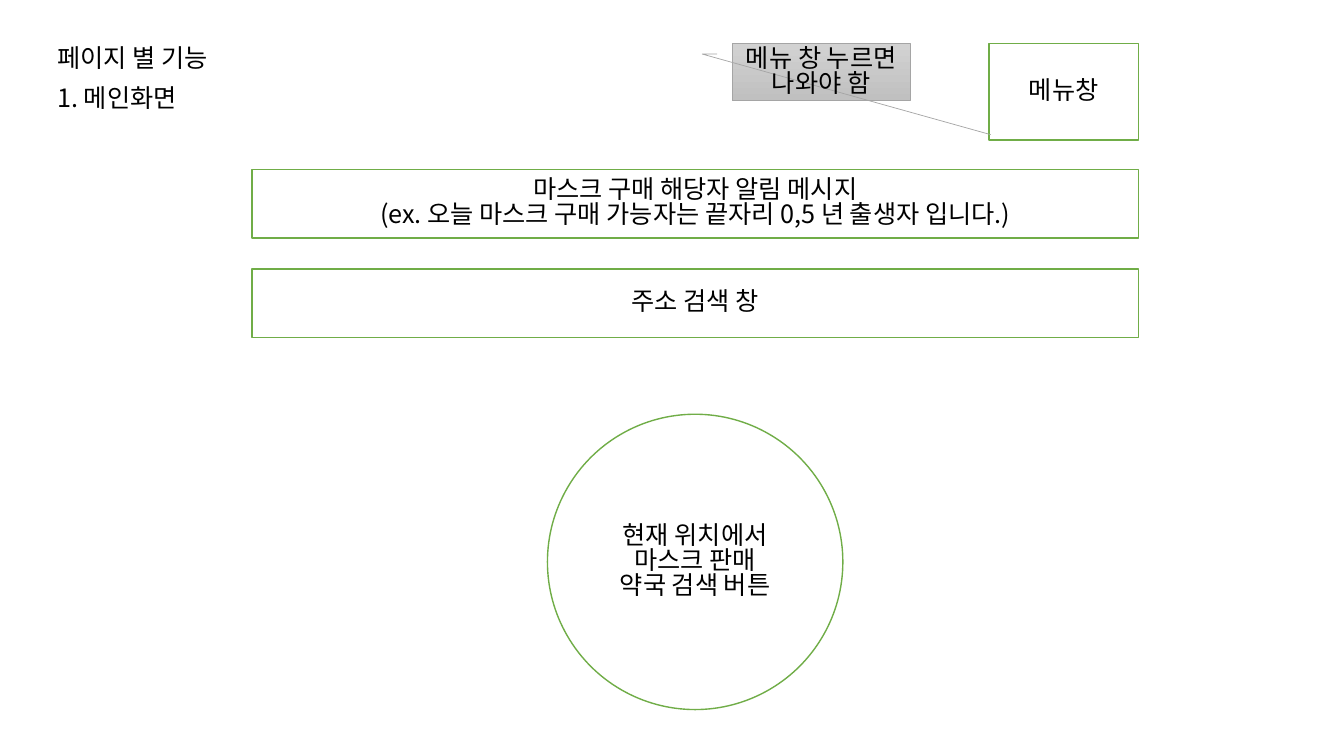
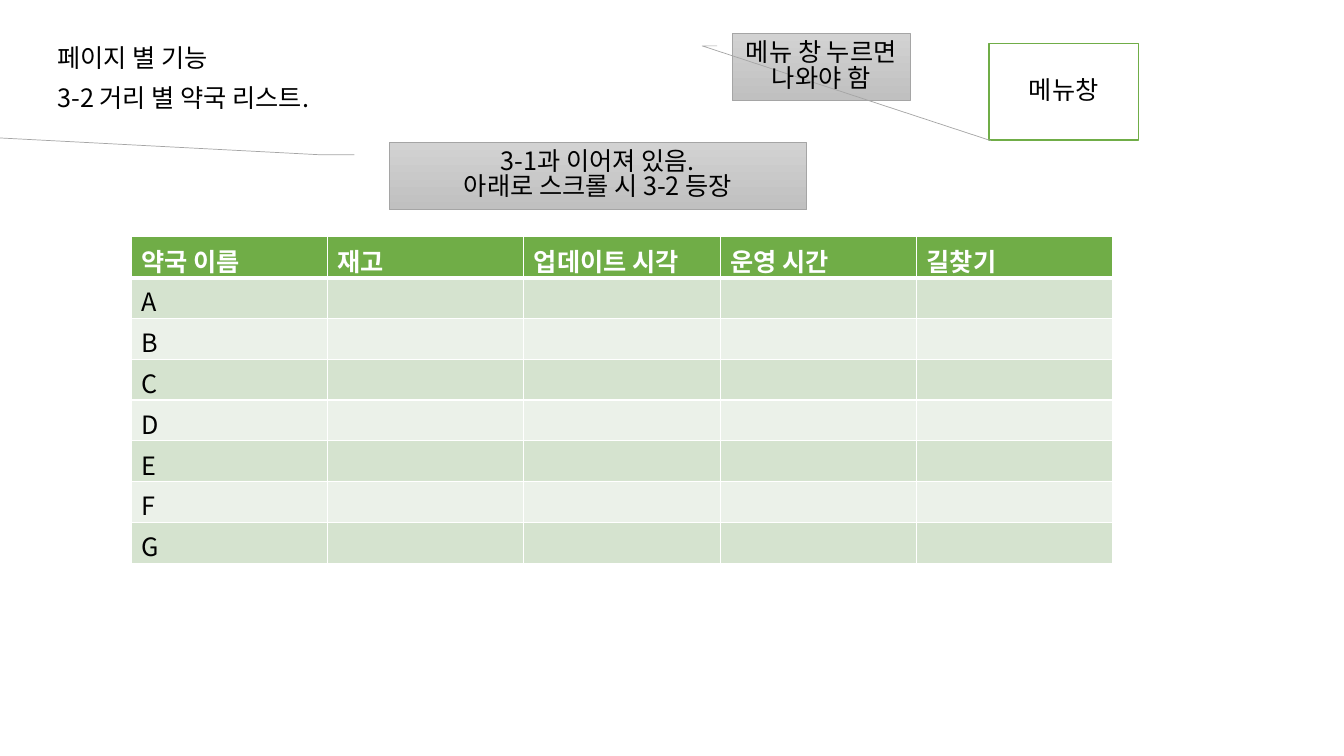
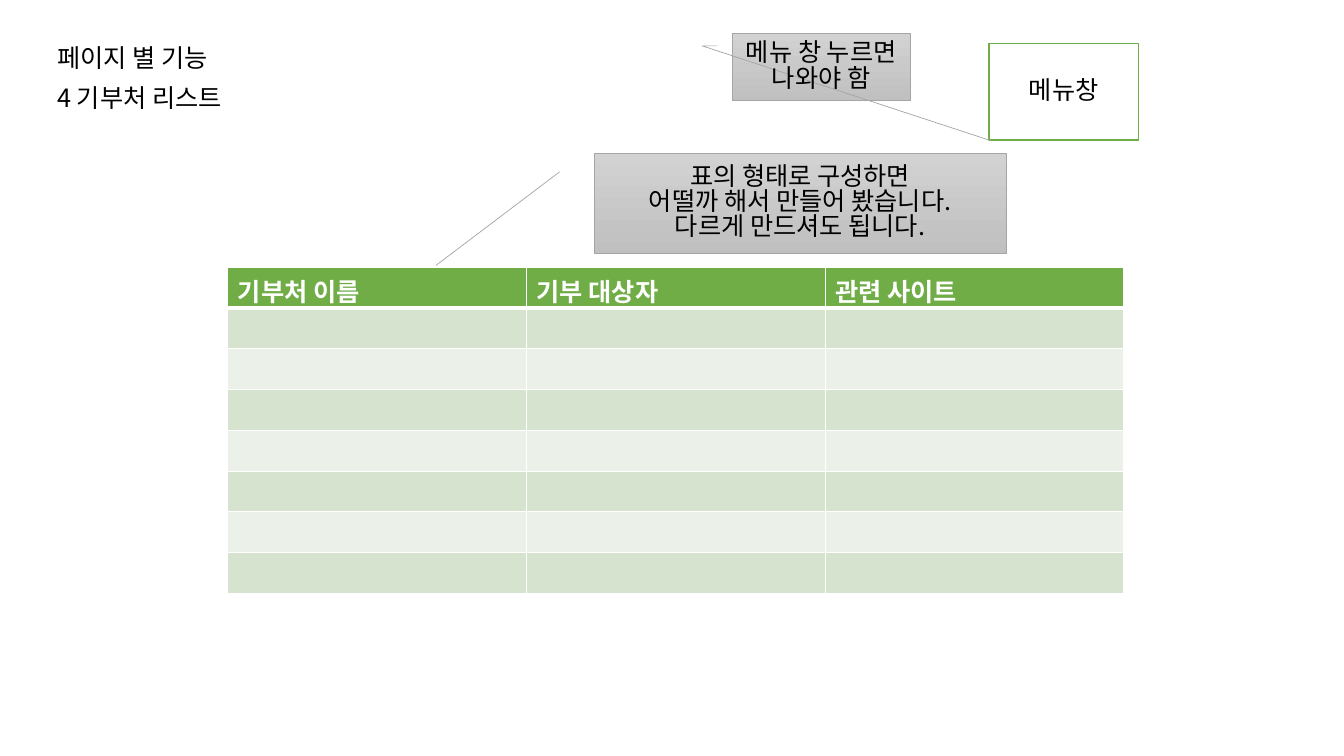
from dataclasses import dataclass

from lxml import etree
from pptx import Presentation
from pptx.dml.color import RGBColor
from pptx.enum.shapes import MSO_SHAPE
from pptx.enum.text import MSO_ANCHOR, PP_ALIGN
from pptx.oxml.ns import qn
from pptx.util import Emu, Pt

RECT, OVAL = MSO_SHAPE.RECTANGLE, MSO_SHAPE.OVAL
CALL_1, CALL_2 = MSO_SHAPE.LINE_CALLOUT_1, MSO_SHAPE.LINE_CALLOUT_2
LEFT, CENTER = PP_ALIGN.LEFT, PP_ALIGN.CENTER
MIDDLE = MSO_ANCHOR.MIDDLE
PX = 9144  # EMU per px, 100 px to the inch


@dataclass(frozen=True)
class Theme:
    font: str = "Noto Sans CJK KR"
    size: float = 18
    lead: float = 0.83
    ink: str = "000000"
    paper: str = "FFFFFF"
    green: str = "70AD47"
    bands: tuple = ("D5E3CF", "EBF1E9")
    note: tuple = ("D2D2D2", "C0C0C0")
    edge: str = "A5A5A5"
    rule: float = 1
    hair: float = 0.5
    thick: float = 3


def px(*nums):
    return [Emu(n * PX) for n in nums]


def rgb(code):
    return RGBColor.from_string(code)


class Deck:
    def __init__(self, theme):
        self.theme = theme
        self.prs = Presentation()
        self.prs.slide_width, self.prs.slide_height = px(1333, 750)
        self.slide = None

    def page(self, title, note_top):
        """Start a slide with its two heading lines, menu box and menu note."""
        self.slide = self.prs.slides.add_slide(self.prs.slide_layouts[6])
        self.label(47, 42, "페이지 별 기능")
        self.label(47, 82, title)
        self.box(981, 43, 148, 96, "메뉴창")
        self.note(726, note_top, 177, 100 - note_top, "메뉴 창 누르면 나와야 함",
                  tail=(1.59, 1.45))

    def put_text(self, frame, text, align=LEFT, color=None, bold=False):
        look = self.theme
        frame.text = text
        for para in frame.paragraphs:
            para.alignment = align
            para.line_spacing = look.lead
            font = para.font
            font.size, font.bold = Pt(look.size), bold
            font.color.rgb = rgb(color or look.ink)
            font.name = look.font
            props = para._p.get_or_add_pPr().find(qn("a:defRPr"))
            etree.SubElement(props, qn("a:ea"), typeface=look.font)

    def label(self, x, y, text):
        frame = self.slide.shapes.add_textbox(*px(x, y, 405, 40)).text_frame
        frame.word_wrap = True
        self.put_text(frame, text)

    def shape(self, kind, area, text, edge, width):
        item = self.slide.shapes.add_shape(kind, *px(*area))
        item.shadow.inherit = False
        item.line.color.rgb = rgb(edge)
        item.line.width = Pt(width)
        item.text_frame.vertical_anchor = MIDDLE
        self.put_text(item.text_frame, text, CENTER)
        return item

    def box(self, x, y, w, h, text, kind=RECT):
        look = self.theme
        item = self.shape(kind, (x, y, w, h), text, look.green, look.rule)
        item.fill.solid()
        item.fill.fore_color.rgb = rgb(look.paper)

    def note(self, x, y, w, h, text, tail=None):
        """Add a callout; tail is the (down, across) end of a bent leader."""
        look = self.theme
        kind = CALL_2 if tail else CALL_1
        item = self.shape(kind, (x, y, w, h), text, look.edge, look.hair)
        item.fill.gradient()
        item.fill.gradient_angle = 270
        for stop, color in zip(item.fill.gradient_stops, look.note):
            stop.color.rgb = rgb(color)
        if tail:
            item.adjustments[4], item.adjustments[5] = tail

    def border(self, cell, side, width):
        props = cell._tc.get_or_add_tcPr()
        line = etree.SubElement(props, qn("a:ln" + side), w=str(Pt(width)))
        fill = etree.SubElement(line, qn("a:solidFill"))
        etree.SubElement(fill, qn("a:srgbClr"), val=self.theme.paper)

    def table(self, x, y, w, heads, names):
        """Add a banded table; names fill the first column below the heads."""
        look = self.theme
        blank = [""] * (len(heads) - 1)
        rows = [heads] + [[name] + blank for name in names]
        high = 324
        grid = self.slide.shapes.add_table(
            len(rows), len(heads), *px(x, y, w, high)).table
        for r, texts in enumerate(rows):
            top = r == 0
            for c, text in enumerate(texts):
                cell = grid.cell(r, c)
                cell.margin_top, cell.margin_bottom = px(10, 0)
                for side in "LRTB":
                    heavy = (top and side == "B") or (r == 1 and side == "T")
                    self.border(cell, side, look.thick if heavy else look.rule)
                cell.fill.solid()
                cell.fill.fore_color.rgb = rgb(
                    look.green if top else look.bands[(r - 1) % 2])
                self.put_text(cell.text_frame, text, bold=top,
                              color=look.paper if top else look.ink)


def main():
    deck = Deck(Theme())

    deck.page("1. 메인화면", 43)
    deck.box(250, 168, 879, 68, "마스크 구매 해당자 알림 메시지\n"
             "(ex. 오늘 마스크 구매 가능자는 끝자리 0,5 년 출생자 입니다.)")
    deck.box(250, 267, 879, 68, "주소 검색 창")
    deck.box(543, 411, 293, 293, "현재 위치에서 마스크 판매\n약국 검색 버튼", OVAL)

    deck.page("3-2 거리 별 약국 리스트.", 33)
    deck.table(130, 235, 974,
               ["약국 이름", "재고", "업데이트 시각", "운영 시간", "길찾기"], "ABCDEFG")
    deck.note(386, 141, 414, 67, "3-1과 이어져 있음.\n아래로 스크롤 시 3-2 등장",
              tail=(-0.07, -0.96))

    deck.page("4 기부처 리스트", 33)
    deck.table(226, 265, 889, ["기부처 이름", "기부 대상자", "관련 사이트"], [""] * 7)
    deck.note(589, 152, 409, 99, "표의 형태로 구성하면\n"
              "어떨까 해서 만들어 봤습니다.\n다르게 만드셔도 됩니다.")

    deck.prs.save("out.pptx")


if __name__ == "__main__":
    main()
